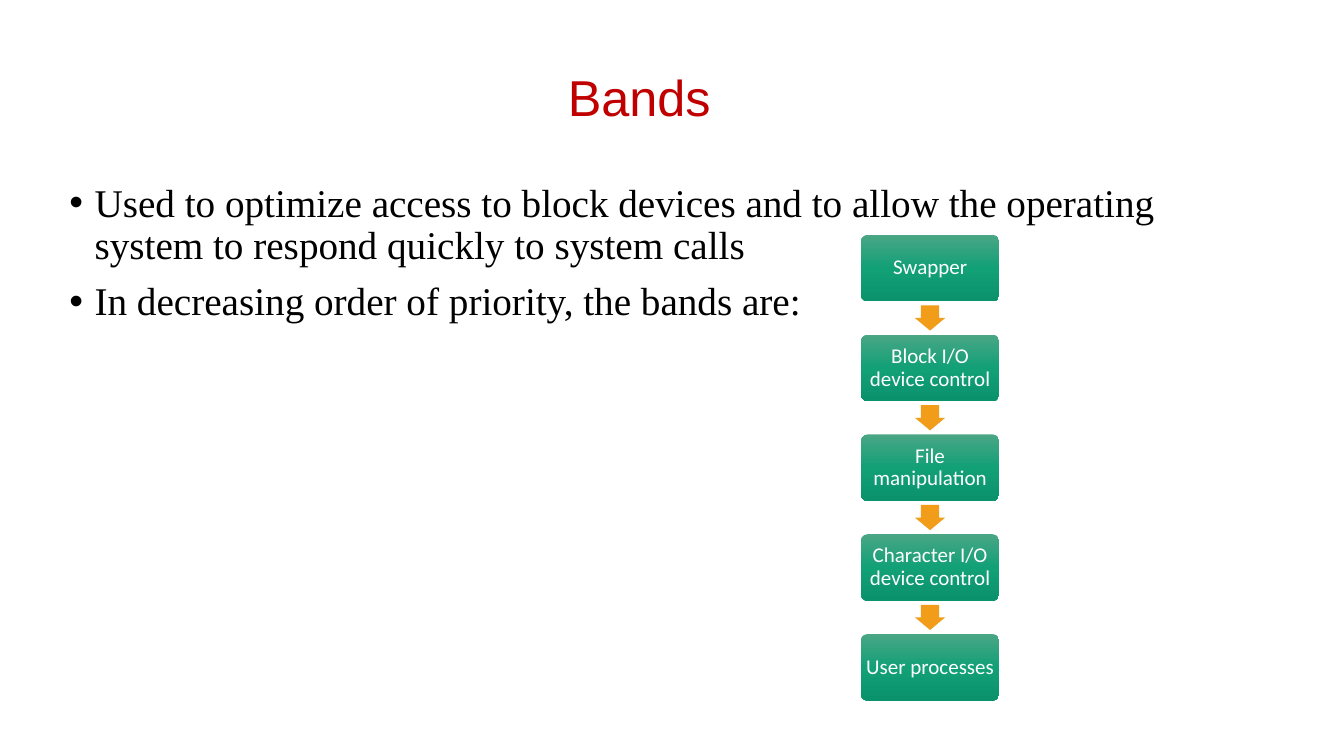
import copy
from dataclasses import dataclass

import pptx
import pptx.dml.color
import pptx.enum.shapes
import pptx.enum.text
import pptx.oxml.ns
import pptx.util

TITLE = "Bands"
BULLETS = [
    "Used to optimize access to block devices and to allow the operating system to respond quickly to system calls",
    "In decreasing order of priority, the bands are:",
]
BANDS = [
    "Swapper",
    "Block I/O device control",
    "File manipulation",
    "Character I/O device control",
    "User processes",
]


@dataclass(frozen=True)
class Theme:
    title_color: str = "C00000"
    body_color: str = "000000"
    band_color: str = "FFFFFF"
    arrow_color: str = "F19D19"
    band_gradient: tuple = ("4AA685", "12A077", "0A926C")
    title_font: str = "Arial"
    body_font: str = "Times New Roman"
    band_font: str = "Calibri"
    title_size: int = 36
    body_size: int = 28
    band_size: int = 15


THEME = Theme()
SLIDE_WIDTH, SLIDE_HEIGHT = 13.33, 7.5
TEXT_LEFT, TEXT_WIDTH = 0.59, 11.5
BAND_LEFT, BAND_TOP = 8.54, 2.33
BAND_WIDTH, BAND_HEIGHT, BAND_PITCH = 1.37, 0.66, 0.99
ARROW_WIDTH, ARROW_HEIGHT = 0.3, 0.25

Inches = pptx.util.Inches
SHAPES = pptx.enum.shapes.MSO_SHAPE
ANCHOR = pptx.enum.text.MSO_ANCHOR
ALIGN = pptx.enum.text.PP_ALIGN


def rgb(color):
    return pptx.dml.color.RGBColor.from_string(color)


def write_text(shape, paragraphs, font, size, color, align=ALIGN.CENTER,
               anchor=ANCHOR.MIDDLE, insets=(0.1, 0.05), bullet=None, gap=0):
    frame = shape.text_frame
    frame.word_wrap = True
    frame.vertical_anchor = anchor
    frame.margin_left = frame.margin_right = Inches(insets[0])
    frame.margin_top = frame.margin_bottom = Inches(insets[1])
    for index, text in enumerate(paragraphs):
        paragraph = frame.add_paragraph() if index else frame.paragraphs[0]
        paragraph.alignment = align
        paragraph.line_spacing = 0.9
        paragraph.space_before = pptx.util.Pt(gap if index else 0)
        run = paragraph.add_run()
        run.text = text
        run.font.name = font
        run.font.size = pptx.util.Pt(size)
        run.font.color.rgb = rgb(color)
        if bullet:
            properties = paragraph._p.get_or_add_pPr()
            properties.set("marL", str(Inches(0.25)))
            properties.set("indent", str(Inches(-0.25)))
            marker_font = properties.makeelement(pptx.oxml.ns.qn("a:buFont"), {"typeface": "Arial"})
            marker = properties.makeelement(pptx.oxml.ns.qn("a:buChar"), {"char": bullet})
            properties.extend([marker_font, marker])


def add_text_box(slide, top, height):
    return slide.shapes.add_textbox(*map(Inches, (TEXT_LEFT, top, TEXT_WIDTH, height)))


def add_plain_shape(slide, preset, adjustments, *box):
    shape = slide.shapes.add_shape(preset, *map(Inches, box))
    shape.shadow.inherit = False
    shape.line.fill.background()
    for index, value in enumerate(adjustments):
        shape.adjustments[index] = value
    return shape


def fill_gradient(shape, colors):
    shape.fill.gradient()
    shape.fill.gradient_angle = 270
    stop_list = shape._element.spPr.find(".//" + pptx.oxml.ns.qn("a:gsLst"))
    while len(stop_list) < len(colors):
        stop_list.append(copy.deepcopy(stop_list[0]))
    for index, (stop, color) in enumerate(zip(shape.fill.gradient_stops, colors)):
        stop.position = index / (len(colors) - 1)
        stop.color.rgb = rgb(color)


def add_band(slide, label, top):
    band = add_plain_shape(slide, SHAPES.ROUNDED_RECTANGLE, [0.1],
                           BAND_LEFT, top, BAND_WIDTH, BAND_HEIGHT)
    fill_gradient(band, THEME.band_gradient)
    write_text(band, [label], THEME.band_font, THEME.band_size, THEME.band_color, insets=(0.03, 0.06))


def add_arrow(slide, band_top):
    left = BAND_LEFT + (BAND_WIDTH - ARROW_WIDTH) / 2
    top = band_top + (BAND_HEIGHT + BAND_PITCH - ARROW_HEIGHT) / 2
    arrow = add_plain_shape(slide, SHAPES.DOWN_ARROW, [0.6, 0.5], left, top, ARROW_WIDTH, ARROW_HEIGHT)
    arrow.fill.solid()
    arrow.fill.fore_color.rgb = rgb(THEME.arrow_color)


def main():
    presentation = pptx.Presentation()
    presentation.slide_width = Inches(SLIDE_WIDTH)
    presentation.slide_height = Inches(SLIDE_HEIGHT)
    slide = presentation.slides.add_slide(presentation.slide_layouts[6])

    write_text(add_text_box(slide, 0.4, 1.19), [TITLE],
               THEME.title_font, THEME.title_size, THEME.title_color)
    write_text(add_text_box(slide, 1.77, 4.79), BULLETS,
               THEME.body_font, THEME.body_size, THEME.body_color,
               align=ALIGN.LEFT, anchor=ANCHOR.TOP, bullet="•", gap=10)

    for index, label in enumerate(BANDS):
        top = BAND_TOP + index * BAND_PITCH
        add_band(slide, label, top)
        if index < len(BANDS) - 1:
            add_arrow(slide, top)

    presentation.save("out.pptx")


if __name__ == "__main__":
    main()
